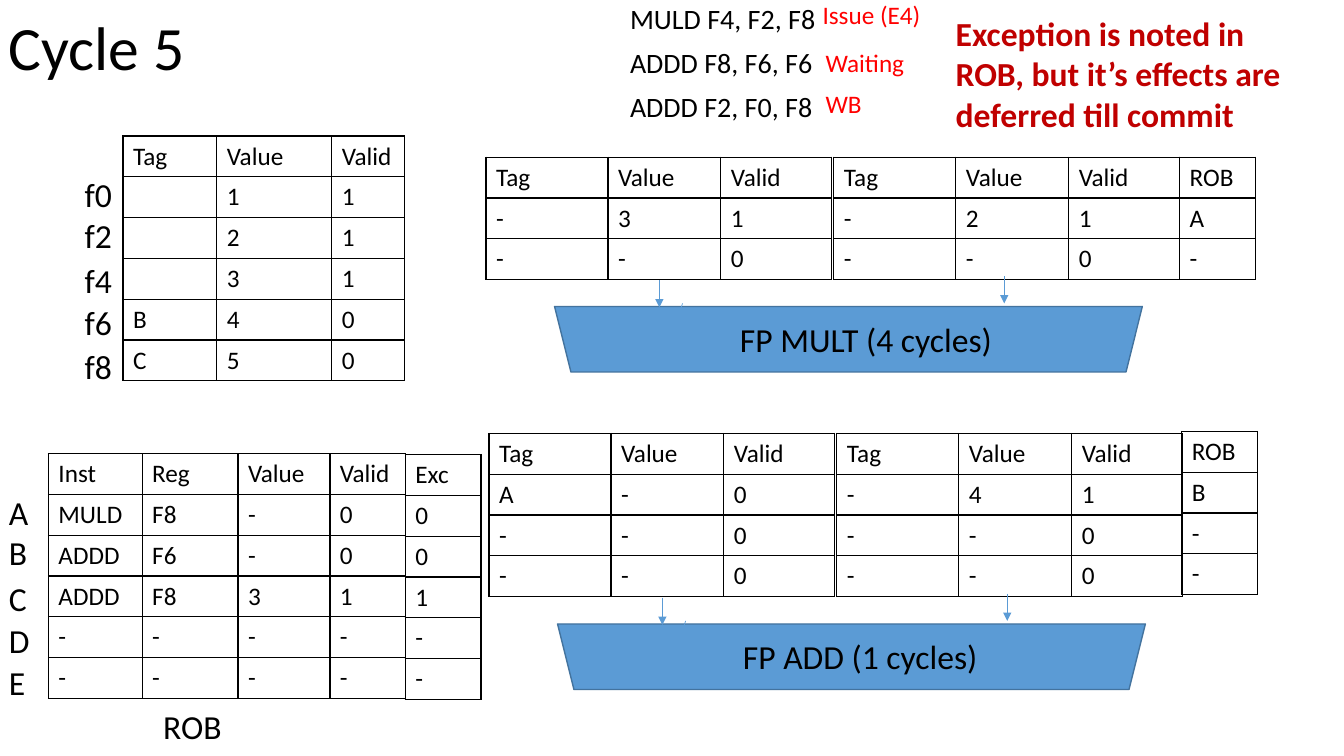
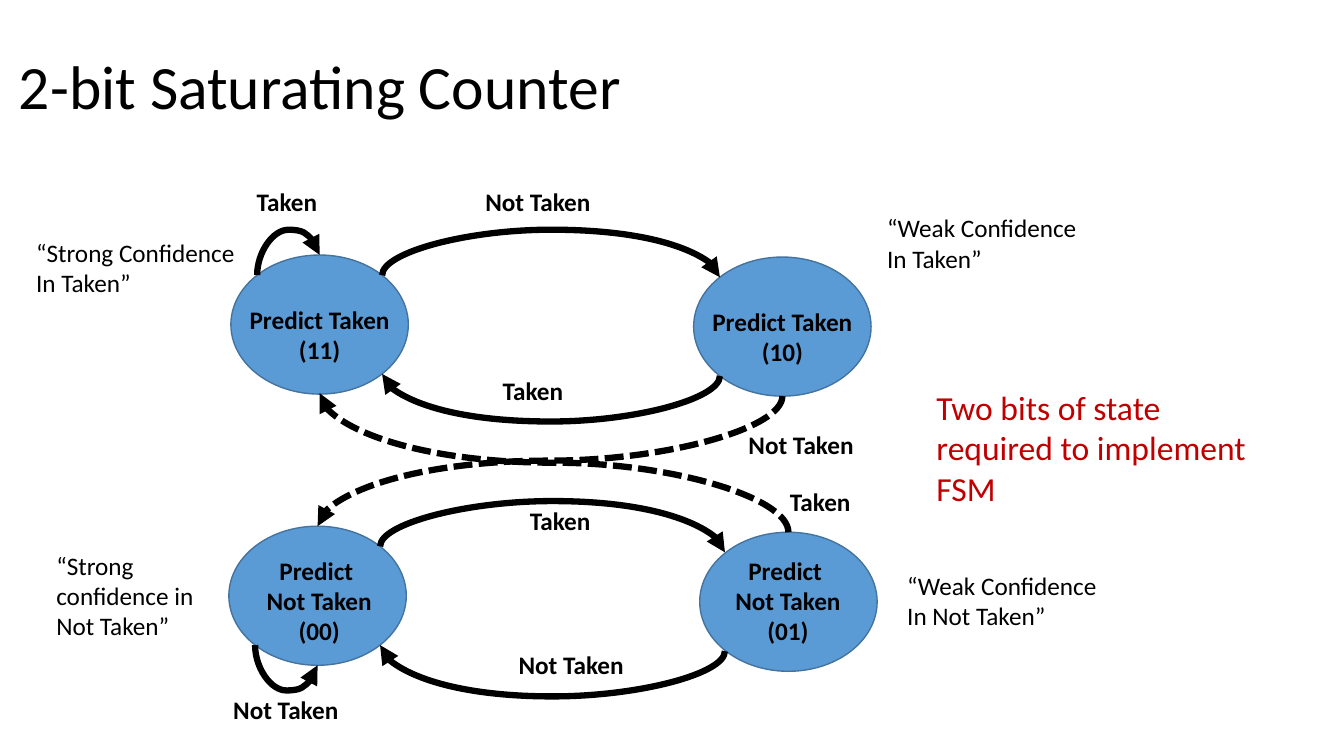
from dataclasses import dataclass

from lxml import etree
from pptx import Presentation
from pptx.dml.color import RGBColor
from pptx.enum.dml import MSO_LINE
from pptx.enum.shapes import MSO_CONNECTOR, MSO_SHAPE
from pptx.enum.text import MSO_ANCHOR, PP_ALIGN
from pptx.oxml import parse_xml
from pptx.oxml.ns import nsdecls, qn
from pptx.util import Inches, Pt

ELLIPSE, TRAPEZOID = MSO_SHAPE.OVAL, MSO_SHAPE.TRAPEZOID
STRAIGHT, CURVE = MSO_CONNECTOR.STRAIGHT, MSO_CONNECTOR.CURVE
CENTER, MIDDLE, DASH = PP_ALIGN.CENTER, MSO_ANCHOR.MIDDLE, MSO_LINE.SQUARE_DOT


@dataclass(frozen=True)
class Theme:
    """Colours, font and type sizes shared by the slides."""
    font: str = "Calibri"
    black: RGBColor = RGBColor(0, 0, 0)
    blue: RGBColor = RGBColor(0x5B, 0x9B, 0xD5)
    edge: RGBColor = RGBColor(0x43, 0x73, 0x9E)
    red: RGBColor = RGBColor(0xFF, 0, 0)
    crimson: RGBColor = RGBColor(0xC0, 0, 0)
    title: int = 44
    large: int = 24
    code: int = 20
    small: int = 18


T = Theme()


def add_text(s, text, box, size=T.small, color=T.black, bold=False, align=None, wrap=False):
    """Add a text box with one format throughout and return its text frame."""
    tf = s.shapes.add_textbox(*map(Inches, box)).text_frame
    tf.word_wrap = wrap
    tf.text = text
    for p in tf.paragraphs:
        p.alignment = align
        for r in p.runs:
            r.font.name, r.font.size, r.font.bold = T.font, Pt(size), bold
            r.font.color.rgb = color
    return tf


def add_arrow(s, kind, ends, color, width):
    """Add a connector with a triangle head at its end."""
    sp = s.shapes.add_connector(kind, *map(Inches, ends))
    sp.line.color.rgb, sp.line.width = color, Pt(width)
    etree.SubElement(sp.line._get_or_add_ln(), qn("a:tailEnd"), type="triangle")
    etree.SubElement(sp._element.spPr, qn("a:effectLst"))
    return sp


prs = Presentation()
prs.slide_width, prs.slide_height = Inches(13.33), Inches(7.5)
cycle, counter = [prs.slides.add_slide(prs.slide_layouts[6]) for _ in range(2)]

# Titles and filled shapes of both slides
for s, title, x, y in [(cycle, "Cycle 5", -0.01, -0.22),
                       (counter, "2-bit Saturating Counter", 0.09, 0.16)]:
    tf = add_text(s, title, (x, y, 11.5, 1.45), T.title, wrap=True)
    tf.vertical_anchor = MIDDLE
    tf.paragraphs[0].line_spacing = 0.9

for s, kind, rotation, w, h, places in [
    (cycle, TRAPEZOID, 180, 5.83, 0.65, [(5.5, 3.04), (5.53, 6.19)]),
    (counter, ELLIPSE, 0, 1.76, 1.38, [(2.29, 2.53), (6.88, 2.55), (2.27, 5.22), (6.94, 5.28)]),
]:
    for x, y in places:
        sp = s.shapes.add_shape(kind, Inches(x), Inches(y), Inches(w), Inches(h))
        sp.rotation = rotation
        sp.shadow.inherit = False
        sp.fill.solid()
        sp.fill.fore_color.rgb = T.blue
        sp.line.color.rgb, sp.line.width = T.edge, Pt(1)

# Slide 1: tables, each row written with | between cells
s = cycle
OPERAND_COLS = [1.21, 1.12, 1.1]
HEAD, IDLE = "Tag|Value|Valid", "-|-|0"
ROW_H = 0.405
for x, y, cols, rows in [
    (4.82, 1.56, OPERAND_COLS, [HEAD, "-|3|1", IDLE]),
    (8.27, 1.56, OPERAND_COLS, [HEAD, "-|2|1", IDLE]),
    (11.7, 1.56, [0.75], ["ROB", "A", "-"]),
    (4.85, 4.3, OPERAND_COLS, [HEAD, "A|-|0", IDLE, IDLE]),
    (8.3, 4.3, OPERAND_COLS, [HEAD, "-|4|1", IDLE, IDLE]),
    (11.72, 4.28, [0.75], ["ROB", "B", "-", "-"]),
    (1.22, 1.35, [0.93, 1.14, 0.72], [HEAD, "|1|1", "|2|1", "|3|1", "B|4|0", "C|5|0"]),
    (0.48, 4.5, [0.93, 0.95, 0.92],
     ["Inst|Reg|Value", "MULD|F8|-", "ADDD|F6|-", "ADDD|F8|3", "-|-|-", "-|-|-"]),
    (3.27, 4.5, [0.75], ["Valid", "0", "0", "1", "-", "-"]),
    (4.02, 4.51, [0.75], ["Exc", "0", "0", "1", "-", "-"]),
]:
    table = s.shapes.add_table(len(rows), len(cols), Inches(x), Inches(y),
                               Inches(sum(cols)), Inches(ROW_H * len(rows))).table
    table.first_row = table.horz_banding = False
    for column, width in zip(table.columns, cols):
        column.width = Inches(width)
    for i, row in enumerate(rows):
        for j, value in enumerate(row.split("|")):
            cell = table.cell(i, j)
            cell.text = value
            for r in cell.text_frame.paragraphs[0].runs:
                r.font.name, r.font.size = T.font, Pt(T.small)
                r.font.color.rgb = T.black
            tcPr = cell._tc.get_or_add_tcPr()
            for side in ("lnL", "lnR", "lnT", "lnB"):
                tcPr.append(parse_xml(
                    f'<a:{side} {nsdecls("a")} w="{Pt(1)}"><a:solidFill>'
                    f'<a:srgbClr val="{T.black}"/></a:solidFill></a:{side}>'))
            cell.fill.background()

# Slide 1: functional units with their input arrows
for label, x, y, w in [("FP MULT (4 cycles)", 7.24, 3.11, 2.72),
                       ("FP ADD (1 cycles)", 7.27, 6.26, 2.55)]:
    add_text(s, label, (x, y, w, 0.5), T.large)
    for x0, y0, x1, y1 in [(2.72, -0.37, 2.72, -0.1), (-0.47, -0.1, -0.54, 0.1),
                           (-0.7, -0.33, -0.7, -0.06)]:
        add_arrow(s, STRAIGHT, (x + x0, y + y0, x + x1, y + y1), T.blue, 0.5)

# Slide 1: row names, instructions and their states
for names, x, tops in [(["f0", "f2", "f4", "f6", "f8"], 0.74, [1.68, 2.08, 2.53, 2.95, 3.38]),
                       (["A", "B", "C", "D", "E"], -0.01, [4.83, 5.23, 5.68, 6.1, 6.52])]:
    for name, y in zip(names, tops):
        add_text(s, name, (x, y, 0.62, 0.5), T.large, wrap=True)
add_text(s, "ROB", (1.52, 6.95, 0.79, 0.5), T.large)

tf = add_text(s, "MULD F4, F2, F8\nADDD F8, F6, F6\nADDD F2, F0, F8",
              (6.15, 0, 2.89, 1.4), T.code, wrap=True)
for p in tf.paragraphs:
    p.line_spacing, p.space_before = 0.9, Pt(10)
for state, x, y, w in [("Issue (E4)", 8.06, -0.06, 1.18), ("Waiting", 8.09, 0.42, 0.99),
                       ("WB", 8.09, 0.83, 0.56)]:
    add_text(s, state, (x, y, w, 0.4), color=T.red)
add_text(s, "Exception is noted in ROB, but it’s effects are deferred till commit",
         (9.38, 0.08, 3.71, 1.31), T.large, T.crimson, bold=True, wrap=True)

# Slide 2: transitions, given by start, end and the height of the bend
s = counter
for x0, y0, x1, y1, bend, dashed in [
    (2.55, 2.73, 3.17, 2.53, 2.28, False),
    (3.79, 2.73, 7.14, 2.75, 2.28, False),
    (7.14, 3.73, 3.79, 3.71, 4.18, False),
    (2.53, 6.4, 3.15, 6.6, 6.85, False),
    (3.77, 5.42, 7.19, 5.48, 4.97, False),
    (7.19, 6.46, 3.77, 6.4, 6.91, False),
    (7.82, 5.28, 3.17, 3.9, 4.59, True),
    (7.76, 3.93, 3.15, 5.22, 4.57, True),
]:
    # A quarter turn makes the curve leave and arrive vertically
    cx, cy, dx, dy = (x0 + x1) / 2, (y0 + y1) / 2, (x1 - x0) / 2, (y1 - y0) / 2
    sp = add_arrow(s, CURVE, (cx - dy, cy + dx, cx + dy, cy - dx), T.black, 4.5)
    spPr = sp._element.spPr
    spPr.find(qn("a:xfrm")).set("rot", str(90 * 60000))
    adjust = round((bend - y0) / (y1 - y0) * 100000)
    etree.SubElement(spPr.find(qn("a:prstGeom")).find(qn("a:avLst")), qn("a:gd"),
                     name="adj1", fmla=f"val {adjust}")
    if dashed:
        sp.line.dash_style = DASH

# Slide 2: state names and transition labels
for label, x, y, w, h in [
    ("Predict Taken\n(11)", 2.37, 2.97, 1.6, 0.71),
    ("Predict Taken\n(10)", 6.96, 2.99, 1.6, 0.71),
    ("Predict \nNot Taken\n(00)", 2.54, 5.46, 1.25, 1.01),
    ("Predict \nNot Taken\n(01)", 7.19, 5.46, 1.25, 1.01),
    ("Taken", 2.44, 1.8, 0.81, 0.71),
    ("Not Taken", 4.71, 1.8, 1.25, 0.71),
    ("Taken", 4.88, 3.67, 0.81, 0.71),
    ("Not Taken", 7.32, 4.21, 1.25, 0.71),
    ("Taken", 7.73, 4.78, 0.81, 0.71),
    ("Taken", 5.15, 4.96, 0.81, 0.71),
    ("Not Taken", 5.04, 6.39, 1.25, 0.71),
    ("Not Taken", 2.21, 6.84, 1.25, 0.71),
]:
    add_text(s, label, (x, y, w, h), bold=True, align=CENTER)

# Slide 2: remarks
for remark, x, y, w in [("“Strong Confidence\nIn Taken”", 0.26, 2.3, 2.19),
                        ("“Weak Confidence\nIn Taken”", 8.7, 2.06, 2.1),
                        ("“Weak Confidence\nIn Not Taken”", 8.9, 5.61, 2.1)]:
    add_text(s, remark, (x, y, w, 0.71))
add_text(s, "“Strong confidence in Not Taken”", (0.46, 5.41, 1.71, 1.01), wrap=True)
add_text(s, "Two bits of state required to implement FSM", (9.19, 3.79, 3.64, 1.35),
         T.large, T.crimson, wrap=True)

prs.save("out.pptx")
